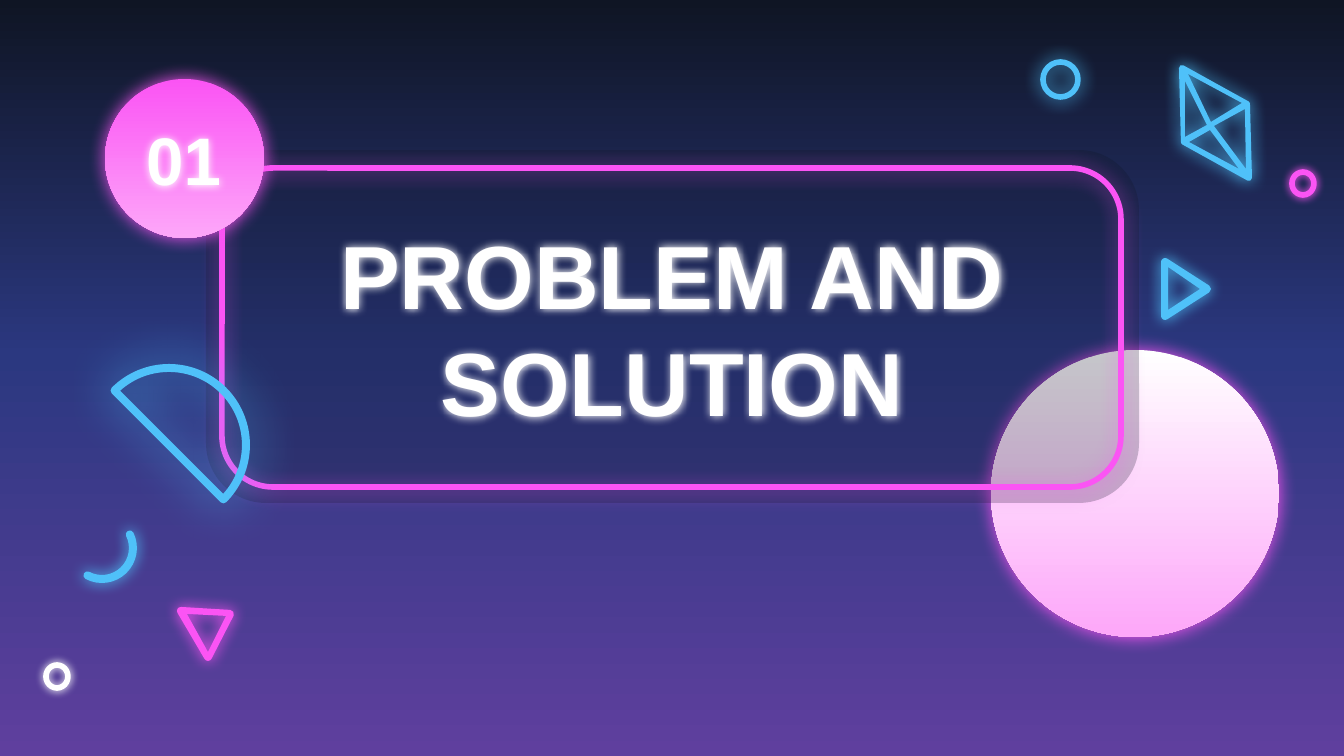
import copy
import math

from pptx import Presentation, util as u
from pptx.dml.color import RGBColor
from pptx.enum import shapes, text
from pptx.oxml import parse_xml
from pptx.oxml.ns import nsdecls, qn

PX = 914400 / 134.4
NIGHT = RGBColor(0x0F, 0x15, 0x24)
NAVY = RGBColor(0x2B, 0x38, 0x80)
VIOLET = RGBColor(0x5F, 0x3F, 0x9E)
PINK = RGBColor(0xFB, 0x54, 0xF4)
PALE_PINK = RGBColor(0xFD, 0xA7, 0xF9)
BLUE = RGBColor(0x4F, 0xC1, 0xF9)
WHITE = RGBColor(0xFF, 0xFF, 0xFF)


def arc(center, radius, start, end, pieces=2):
    turn = math.radians(end - start) / pieces
    pull = 4 / 3 * math.tan(turn / 4)
    steps = []
    for i in range(pieces + 1):
        angle = math.radians(start) + i * turn
        dx, dy = radius * math.cos(angle), radius * math.sin(angle)
        x, y = center[0] + dx, center[1] + dy
        if i:
            steps.append((*handle, x + pull * dy, y - pull * dx, x, y))
        else:
            steps.append((x, y))
        handle = x - pull * dy, y + pull * dx
    return steps


def join(*arcs):
    steps = list(arcs[0])
    for piece in arcs[1:]:
        touching = math.dist(steps[-1][-2:], piece[0]) < 0.1
        steps += piece[1:] if touching else piece
    return steps


def rounded(corners, radius):
    arcs = []
    for i, (x, y) in enumerate(corners):
        before, after = corners[i - 1], corners[(i + 1) % len(corners)]
        start = math.degrees(math.atan2(y - before[1], x - before[0])) - 90
        end = math.degrees(math.atan2(after[1] - y, after[0] - x)) - 90
        arcs.append(arc((x, y), radius, start, start + (end - start) % 360))
    return join(*arcs)


def half_disc(center, radius, half):
    first, last = arc(center, radius, 225, 405, 1)
    return join(arc(center, radius + half, 225, 405, 4),
                arc(last[-2:], half, 45, 135, 1), arc(first, half, 135, 225, 1))


def swoosh(center, radius, start, end, half):
    first, last = arc(center, radius, start, end, 1)
    return join(arc(center, radius + half, start, end), arc(last[-2:], half, end, end + 180),
                arc(center, radius - half, end, start), arc(first, half, start + 180, start + 360))


BACKGROUND = [(0, NIGHT), (0.47, NAVY), (1, VIOLET)]
MOON = ((991, 350, 288, 287), [(0, WHITE), (1, PALE_PINK)])
BADGE = ((105, 79, 159, 159), [(0, PINK), (1, PALE_PINK)])
PANEL = (206, 150, 933, 353)
FRAME = (222, 168, 899, 319)
TITLE = ("PROBLEM AND SOLUTION", (266, 204, 812, 246), 48)
NUMBER = ("01", (103, 112, 161, 94), 36)
DOME = (169, 445)
OUTLINES = [
    (BLUE, 27, [half_disc(DOME, 77, 4), arc(DOME, 73, 228, 402)]),
    (BLUE, 9, [rounded([(1182, 68), (1247, 104), (1249, 178), (1184, 142)], 3),
               [(1188, 74), (1242, 103), (1211, 122)],
               [(1185, 81), (1207, 125), (1185, 137)],
               [(1210, 130), (1239, 169), (1189, 142)],
               [(1245, 109), (1246, 169), (1214, 126)]]),
    (BLUE, 7.9, [rounded([(1165, 262), (1207, 289), (1165, 316)], 4),
                 [(1168, 267), (1200, 289), (1168, 310)]]),
    (BLUE, 7.9, [swoosh((102, 548), 31, -26, 118, 4)]),
    (PINK, 7.9, [rounded([(181, 611), (230, 614), (208, 657)], 4),
                 [(187, 614), (226, 616), (208, 652)]]),
]
RINGS = [(BLUE, 10.1, (1043, 62, 35, 35)), (WHITE, 4.5, (46, 665, 22, 23)),
         (PINK, 4.5, (1292, 172, 22, 23))]


def px(*lengths):
    return [round(length * PX) for length in lengths]


def add_glow(shape, color, blur, alpha=100, drop=0):
    shape.shadow.inherit = False
    effects = shape.element.spPr.find(qn("a:effectLst"))
    effects.append(parse_xml(
        f'<a:outerShdw {nsdecls("a")} blurRad="{u.Pt(blur)}" dist="{u.Pt(drop)}" dir="5400000" '
        f'algn="ctr" rotWithShape="0"><a:srgbClr val="{color}">'
        f'<a:alpha val="{alpha * 1000}"/></a:srgbClr></a:outerShdw>'))


def paint_gradient(fill, holder, stops):
    fill.gradient()
    fill.gradient_angle = 270
    stop_list = holder.find(".//" + qn("a:gsLst"))
    while len(stop_list) < len(stops):
        stop_list.append(copy.deepcopy(stop_list[0]))
    for stop, (position, color) in zip(fill.gradient_stops, stops):
        stop.position = position
        stop.color.rgb = color


def add_disc(page, box, stops):
    disc = page.shapes.add_shape(shapes.MSO_SHAPE.OVAL, *px(*box))
    paint_gradient(disc.fill, disc.element.spPr, stops)
    disc.line.fill.background()
    add_glow(disc, PINK, 10.1)


def add_outlined(parent, kind, box, color):
    shape = parent.shapes.add_shape(kind, *px(*box))
    shape.fill.background()
    shape.line.color.rgb = color
    shape.line.width = u.Pt(3)
    return shape


def add_frame(page):
    group = page.shapes.add_group_shape()
    kind = shapes.MSO_SHAPE.ROUNDED_RECTANGLE
    panel = group.shapes.add_shape(kind, *px(*PANEL))
    panel.adjustments[0] = 0.17
    panel.fill.solid()
    panel.fill.fore_color.rgb = NIGHT
    color = panel.element.spPr.find(".//" + qn("a:srgbClr"))
    color.append(parse_xml(f'<a:alpha {nsdecls("a")} val="24000"/>'))
    panel.line.fill.background()
    panel.shadow.inherit = False
    frame = add_outlined(group, kind, FRAME, PINK)
    frame.adjustments[0] = 0.16
    add_glow(frame, PINK, 11.2, 62, 1.5)


def place_text(page, holder, words, box, size):
    page.shapes.element.append(holder.element)
    holder.left, holder.top, holder.width, holder.height = px(*box)
    holder.fill.background()
    add_glow(holder, WHITE, 4.5)
    frame = holder.text_frame
    frame.text = words
    frame.word_wrap = True
    frame.auto_size = text.MSO_AUTO_SIZE.NONE
    frame.vertical_anchor = text.MSO_ANCHOR.MIDDLE
    frame.margin_left = frame.margin_right = u.Inches(0.1)
    frame.margin_top = frame.margin_bottom = u.Inches(0.1)
    para = frame.paragraphs[0]
    para.alignment = text.PP_ALIGN.CENTER
    para.space_before = u.Pt(0)
    font = para.runs[0].font
    font.name, font.size, font.bold = "Arial", u.Pt(size), True
    font.color.rgb = WHITE


def bend(shape, steps):
    track = shape.element.find(".//" + qn("a:path"))
    nodes = [node for node in track if node.tag != qn("a:close")]
    for node, step in zip(nodes, steps):
        if len(step) == 6:
            points = "".join(f'<a:pt x="{x - shape.left}" y="{y - shape.top}"/>'
                             for x, y in zip(step[::2], step[1::2]))
            track.replace(node, parse_xml(
                f'<a:cubicBezTo {nsdecls("a")}>{points}</a:cubicBezTo>'))


def add_outline(page, color, blur, contours):
    contours = [[px(*step) for step in contour] for contour in contours]
    builder = page.shapes.build_freeform(*contours[0][0])
    for i, contour in enumerate(contours):
        if i:
            builder.move_to(*contour[0])
        builder.add_line_segments([step[-2:] for step in contour[1:]], close=True)
    shape = builder.convert_to_shape()
    bend(shape, sum(contours, []))
    shape.fill.solid()
    shape.fill.fore_color.rgb = color
    shape.line.fill.background()
    add_glow(shape, color, blur)


def main():
    deck = Presentation()
    deck.slide_width, deck.slide_height = px(1344, 756)
    page = deck.slides.add_slide(deck.slide_layouts[0])
    title, number = page.placeholders
    paint_gradient(page.background.fill, page.element, BACKGROUND)
    add_disc(page, *MOON)
    add_frame(page)
    place_text(page, title, *TITLE)
    add_disc(page, *BADGE)
    place_text(page, number, *NUMBER)
    for outline in OUTLINES:
        add_outline(page, *outline)
    for color, blur, box in RINGS:
        ring = add_outlined(page, shapes.MSO_SHAPE.OVAL, box, color)
        add_glow(ring, color, blur)
    deck.save("out.pptx")


if __name__ == "__main__":
    main()
